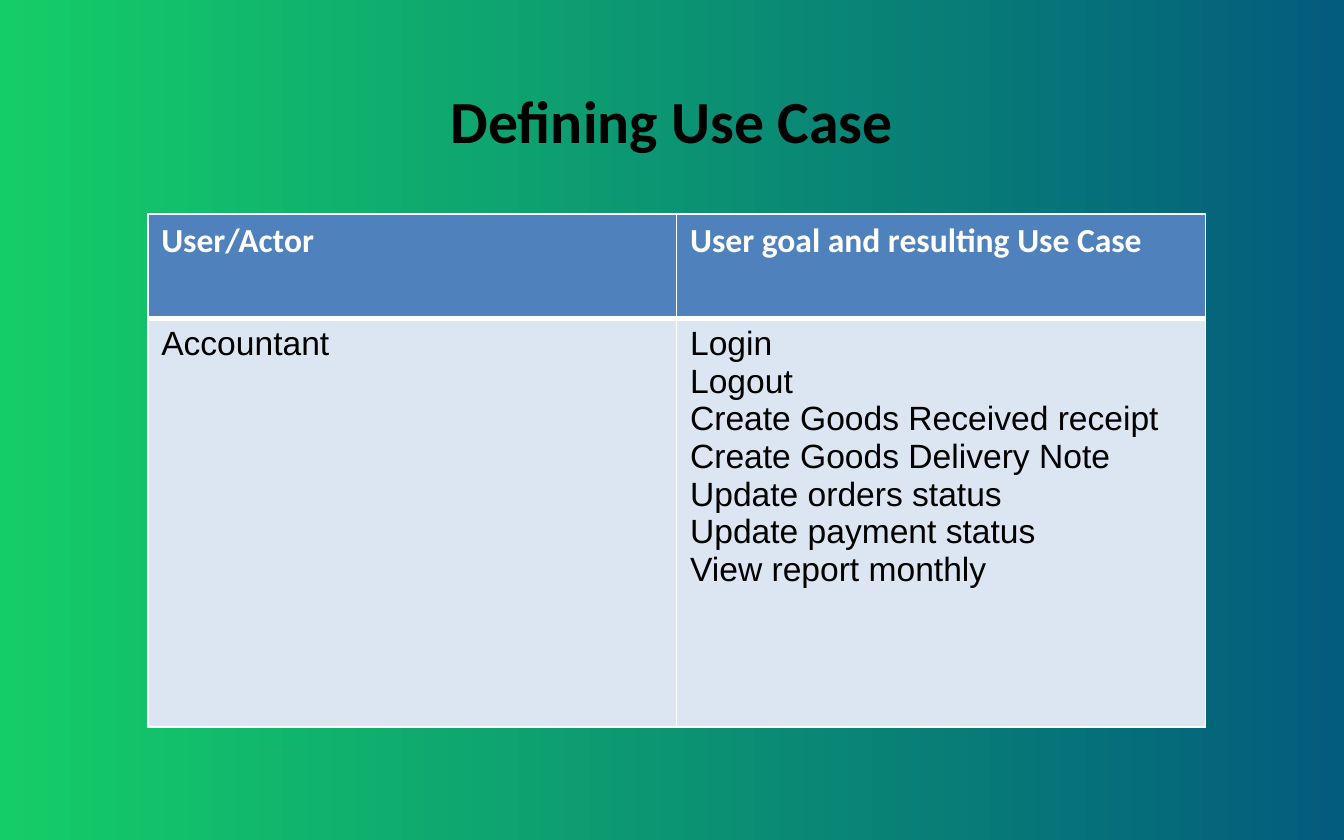
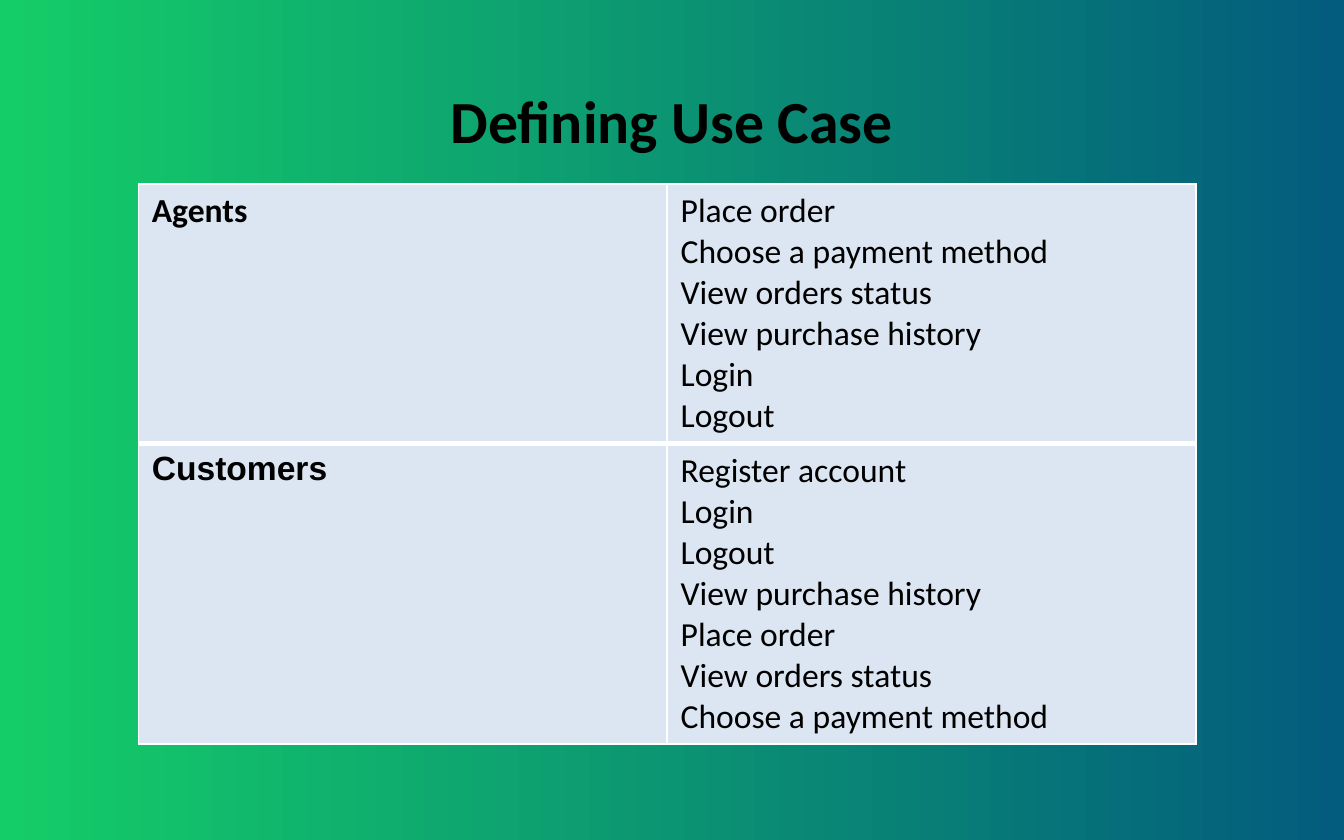
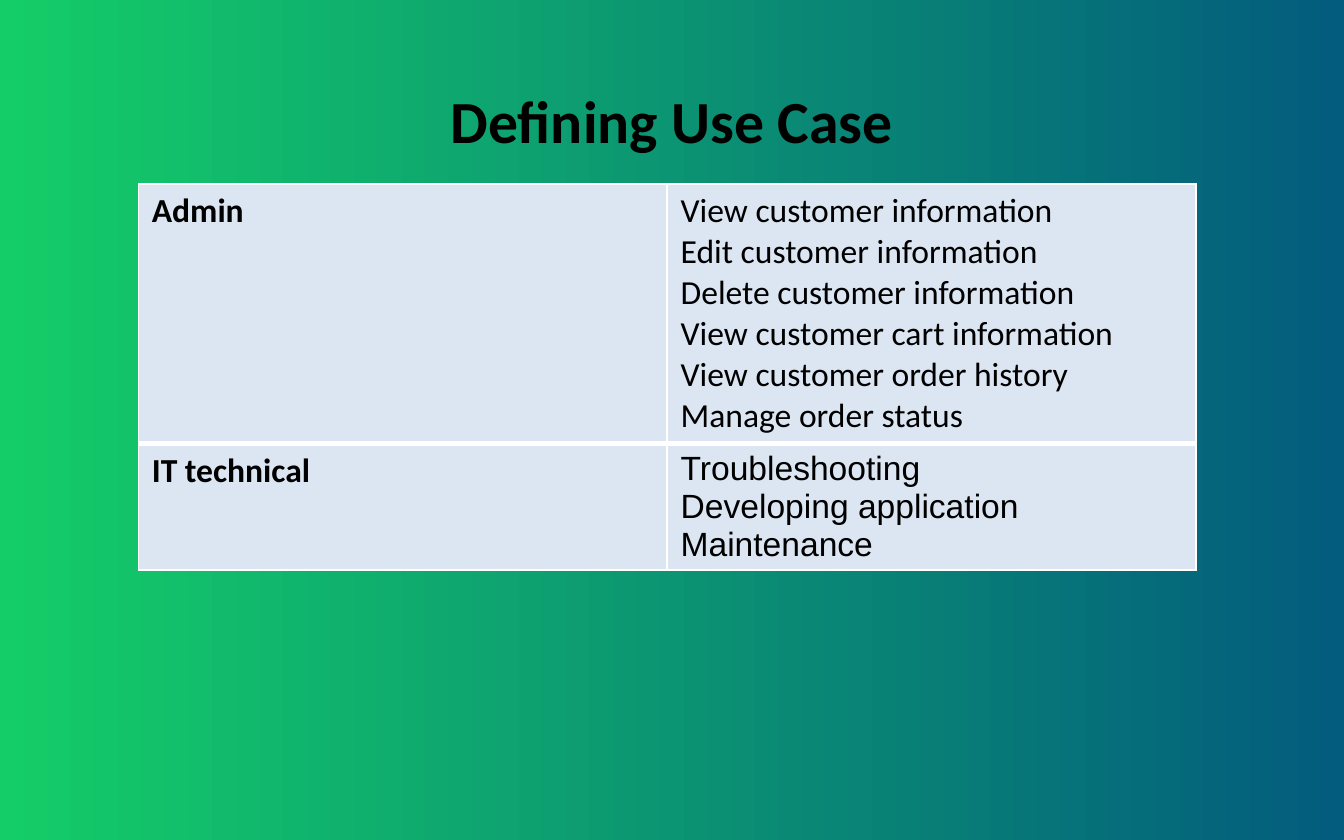
import pptx
import pptx.dml.color
import pptx.enum.text
import pptx.oxml
import pptx.oxml.ns
import pptx.util

Inches = pptx.util.Inches
Pt = pptx.util.Pt

BLACK, WHITE = "000000", "FFFFFF"
HEADER_BLUE, PALE_BLUE = "4F81BD", "DCE6F2"
GRADIENT = ("14CD68", "035C7D")
TABLE_WIDTH = 7.87


def rgb(hex_code):
    return pptx.dml.color.RGBColor.from_string(hex_code)


def add_border(cell, side, points):
    properties = cell._tc.get_or_add_tcPr()
    line = pptx.oxml.parse_xml(
        f'<a:ln{side} {pptx.oxml.ns.nsdecls("a")} w="{Pt(points)}"><a:solidFill>'
        f'<a:srgbClr val="{WHITE}"/></a:solidFill></a:ln{side}>')
    properties.append(line)


# Each cell: lines, font, bold, text colour, fill
slides = [
    {"left": 1.1, "top": 1.59, "height": 3.83, "row_heights": (0.78, 3.04), "rows": [
        [(["User/Actor"], "Calibri", True, WHITE, HEADER_BLUE),
         (["User goal and resulting Use Case"], "Calibri", True, WHITE, HEADER_BLUE)],
        [(["Accountant"], "Arial", False, BLACK, PALE_BLUE),
         (["Login", "Logout",
           "Create Goods Received receipt Create Goods Delivery Note Update orders status",
           "Update payment status", "View report monthly"],
          "Arial", False, BLACK, PALE_BLUE)]]},
    {"left": 1.03, "top": 1.37, "height": 4.1, "row_heights": (0.41, 0.41), "rows": [
        [(["Agents"], "Calibri", True, BLACK, PALE_BLUE),
         (["Place order", "Choose a payment method", "View orders status",
           "View purchase history", "Login", "Logout"],
          "Calibri", False, BLACK, PALE_BLUE)],
        [(["Customers"], "Arial", True, BLACK, PALE_BLUE),
         (["Register account", "Login", "Logout", "View purchase history",
           "Place order", "View orders status", "Choose a payment method"],
          "Calibri", False, BLACK, PALE_BLUE)]]},
    {"left": 1.03, "top": 1.37, "height": 2.9, "row_heights": (0.41, 0.41), "rows": [
        [(["Admin"], "Calibri", True, BLACK, PALE_BLUE),
         (["View customer information", "Edit customer information",
           "Delete customer information",
           "View customer cart information View customer order history Manage order status"],
          "Calibri", False, BLACK, PALE_BLUE)],
        [(["IT technical"], "Calibri", True, BLACK, PALE_BLUE),
         (["Troubleshooting", "Developing application", "Maintenance"],
          "Arial", False, BLACK, PALE_BLUE)]]},
]

deck = pptx.Presentation()
deck.slide_width, deck.slide_height = Inches(10), Inches(6.25)

# Shared gradient background
background = deck.slide_master.background.fill
background.gradient()
background.gradient_angle = 0
for stop, hex_code in zip(background.gradient_stops, GRADIENT):
    stop.color.rgb = rgb(hex_code)

for content in slides:
    page = deck.slides.add_slide(deck.slide_layouts[5])

    # Title
    title = page.shapes.title
    title.left, title.top = Inches(1.43), Inches(0.31)
    title.width, title.height = Inches(7.14), Inches(1.16)
    title.text_frame.text = "Defining Use Case"
    title.text_frame.vertical_anchor = pptx.enum.text.MSO_ANCHOR.MIDDLE
    para = title.text_frame.paragraphs[0]
    para.alignment = pptx.enum.text.PP_ALIGN.CENTER
    font = para.runs[0].font
    font.name, font.size, font.bold = "Calibri", Pt(32), True
    font.color.rgb = rgb(BLACK)

    # Table of actors and goals; rows grow to fit their text
    frame = page.shapes.add_table(
        2, 2, Inches(content["left"]), Inches(content["top"]),
        Inches(TABLE_WIDTH), Inches(content["height"]))
    table = frame.table
    for row, height in zip(table.rows, content["row_heights"]):
        row.height = Inches(height)
    frame.height = Inches(content["height"])

    for row_index, row_cells in enumerate(content["rows"]):
        for column_index, (lines, name, bold, color, fill) in enumerate(row_cells):
            cell = table.cell(row_index, column_index)
            cell.text_frame.text = "\n".join(lines)
            for para in cell.text_frame.paragraphs:
                font = para.runs[0].font
                font.name, font.size, font.bold = name, Pt(18), bold
                font.color.rgb = rgb(color)
            # The rule below the first row is thicker
            for side in "LRTB":
                is_divider = (row_index, side) in ((0, "B"), (1, "T"))
                add_border(cell, side, 3 if is_divider else 1)
            cell.fill.solid()
            cell.fill.fore_color.rgb = rgb(fill)

deck.save("out.pptx")
